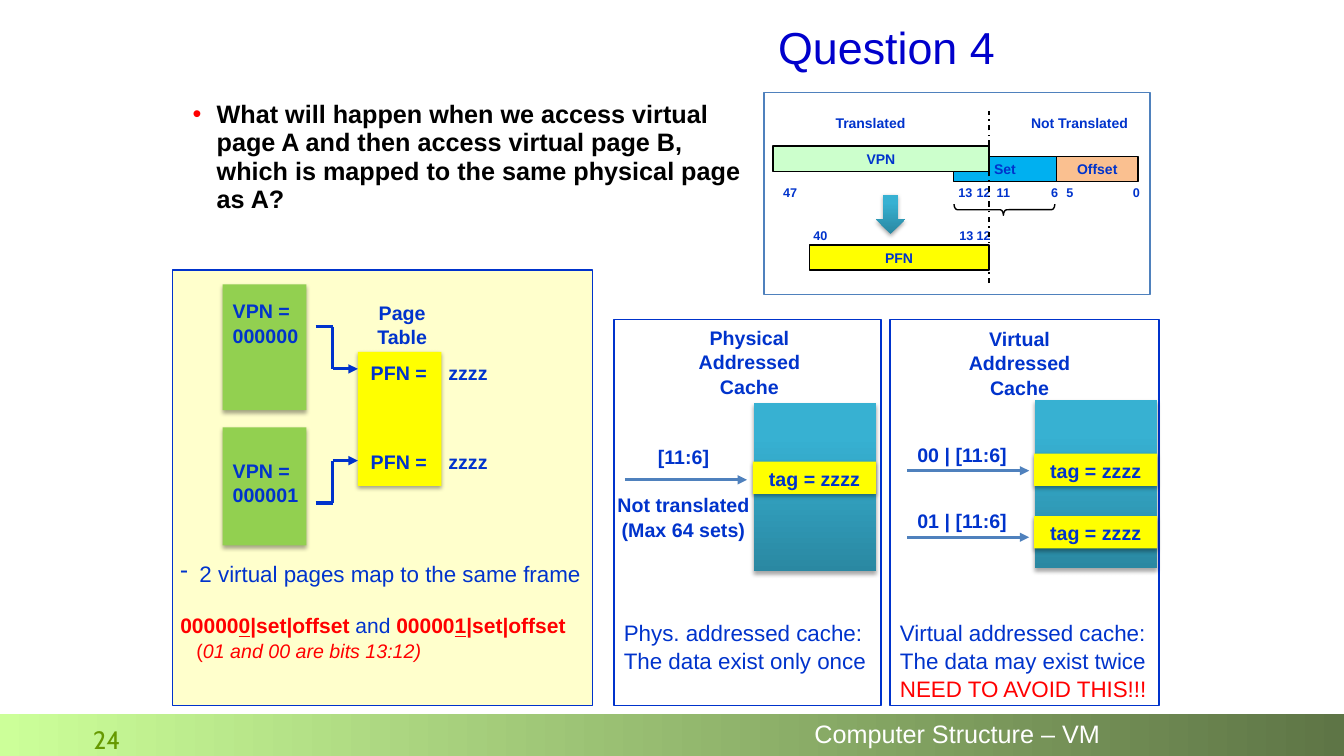
from dataclasses import dataclass

from lxml import etree
from pptx import Presentation, util as u
from pptx.dml.color import RGBColor
from pptx.enum import dml, shapes, text
from pptx.oxml.ns import qn

BLUE = RGBColor(0x00, 0x33, 0xCC)
NAVY = RGBColor(0x00, 0x00, 0xCC)
STEEL = RGBColor(0x4F, 0x81, 0xBD)
SKY = RGBColor(0x00, 0xB0, 0xF0)
TEAL = [RGBColor(0x2A, 0x88, 0xA2), RGBColor(0x37, 0xB1, 0xD2)]
RED = RGBColor(0xFF, 0x00, 0x00)
PEACH = RGBColor(0xFA, 0xC0, 0x90)
YELLOW = RGBColor(0xFF, 0xFF, 0x00)
CREAM = RGBColor(0xFF, 0xFF, 0xCC)
MINT = RGBColor(0xCC, 0xFF, 0xCC)
GREEN = RGBColor(0x92, 0xD0, 0x50)
LEAF = RGBColor(0x66, 0x99, 0x00)
MEADOW = [RGBColor(0xCC, 0xFF, 0x99), RGBColor(0x5E, 0x75, 0x46)]
BLACK = RGBColor(0x00, 0x00, 0x00)
WHITE = RGBColor(0xFF, 0xFF, 0xFF)

CELL = u.Inches(0.1)  # side of one grid cell
KIND = shapes.MSO_SHAPE
LEFT, MID = text.PP_ALIGN.LEFT, text.PP_ALIGN.CENTER
TOP, HALF = text.MSO_ANCHOR.TOP, text.MSO_ANCHOR.MIDDLE


def grid(*cells):
    """Turn grid columns and rows into lengths."""
    return [round(cell * CELL) for cell in cells]


def node(parent, tag, **attrs):
    """Append one XML element and return it."""
    return etree.SubElement(parent, qn(tag), {k: str(v) for k, v in attrs.items()})


def mark(para, sign, hang, color):
    """Give a paragraph a hanging bullet."""
    props = para._p.get_or_add_pPr()
    props.set("marL", str(round(hang * CELL)))
    props.set("indent", str(-round(hang * CELL)))
    node(node(props, "a:buClr"), "a:srgbClr", val=color)
    node(props, "a:buChar", char=sign)


def write(frame, lines, size=14, color=BLUE, bold=True, face="Arial", align=LEFT,
          anchor=TOP, wrap=True, pad=True, lead=1.05):
    """Fill a frame; a line is a string or a list of (string, font changes)."""
    frame.word_wrap, frame.vertical_anchor = wrap, anchor
    frame.auto_size = text.MSO_AUTO_SIZE.NONE
    if not pad:
        frame.margin_left = frame.margin_right = 0
        frame.margin_top = frame.margin_bottom = 0
    for i, line in enumerate(lines):
        para = frame.paragraphs[0] if i == 0 else frame.add_paragraph()
        para.alignment, para.line_spacing = align, lead
        para.space_before = u.Pt(0)
        for words, change in [(line, {})] if isinstance(line, str) else line:
            run = para.add_run()
            run.text = words
            font = run.font
            font.name, font.bold = face, change.get("bold", bold)
            font.size = u.Pt(change.get("size", size))
            font.color.rgb = change.get("color", color)
            font.italic = change.get("italic")
            font.underline = change.get("under")
    return frame.paragraphs


@dataclass
class Sheet:
    """The current slide and its drawing style."""
    slide: object
    thin: float = 1
    thick: float = 2.25

    def label(self, x, y, w, h, *lines, **fmt):
        """Add a text box and return its paragraphs."""
        box = self.slide.shapes.add_textbox(*grid(x, y, w, h))
        return write(box.text_frame, lines, **fmt)

    def holder(self, index, place, line, **fmt):
        """Move and fill a placeholder."""
        spot = self.slide.placeholders[index]
        spot.left, spot.top, spot.width, spot.height = grid(*place)
        return write(spot.text_frame, [line], **fmt)

    def block(self, x, y, w, h, fill=None, line=None, words=None, kind=KIND.RECTANGLE,
              shade=False, slant=90, stop=0.8, **fmt):
        """Add a preset shape; a list of two colours makes a gradient."""
        item = self.slide.shapes.add_shape(kind, *grid(x, y, w, h))
        if fill is None:
            item.fill.background()
        elif isinstance(fill, list):
            item.fill.gradient()
            item.fill.gradient_angle = slant
            for point, color, at in zip(item.fill.gradient_stops, fill, (0, stop)):
                point.color.rgb, point.position = color, at
        else:
            item.fill.solid()
            item.fill.fore_color.rgb = fill
        if line is None:
            item.line.fill.background()
        else:
            item.line.color.rgb, item.line.width = line, u.Pt(self.thin)
        item.shadow.inherit = False
        if shade:
            drop = node(item._element.spPr.find(qn("a:effectLst")), "a:outerShdw",
                        blurRad=u.Pt(3.1), dist=u.Pt(1.8), dir=5400000, rotWithShape=0)
            node(node(drop, "a:srgbClr", val=BLACK), "a:alpha", val=35000)
        if words:
            write(item.text_frame, [words], align=MID, anchor=HALF, **fmt)
        return item

    def link(self, x1, y1, x2, y2, color=BLUE, width=None, head=False, dash=None):
        """Add a straight line, with an arrowhead if asked."""
        wire = self.slide.shapes.add_connector(shapes.MSO_CONNECTOR.STRAIGHT,
                                               *grid(x1, y1, x2, y2))
        wire.line.color.rgb, wire.line.width = color, u.Pt(width or self.thick)
        if dash:
            wire.line.dash_style = dash
        if head:
            node(wire._element.spPr.find(qn("a:ln")), "a:tailEnd", type="triangle")
        node(wire._element.spPr, "a:effectLst")

    def tag(self, x, y):
        """Add a cache entry."""
        self.block(x, y, 12.2, 3.2, YELLOW, words="tag = zzzz", shade=True)


def frame(sheet):
    """Add the title, question and footer."""
    sheet.holder(0, (61.7, 2.5, 52.5, 5), "Question 4", size=32, color=NAVY,
                 bold=False, align=MID, anchor=HALF, pad=False, lead=0.9)
    ask = sheet.holder(1, (18.1, 9.5, 57.7, 19.7),
                       "What will happen when we access virtual page A and then access "
                       "virtual page B, which is mapped to the same physical page as A?",
                       size=18, color=BLACK, lead=0.94)
    mark(ask[0], "•", 2.4, RED)
    sheet.block(0, 70.8, 133.33, 4.2, MEADOW, slant=0, stop=1)
    sheet.label(80.8, 70.6, 30, 4.2, "Computer Structure – VM", size=18, color=WHITE,
                bold=False, anchor=HALF, pad=False)
    sheet.label(6.7, 71.7, 7.8, 3.7, "24", size=18, color=LEAF, bold=False,
                face="Cabin", align=MID, lead=0.9)


def address(sheet):
    """Draw the split of the address into fields."""
    sheet.block(75.8, 9.2, 38.3, 20, line=STEEL)
    for x, y, w, fill, name in ((104.8, 15.5, 8.1, PEACH, "Offset"),
                                (94.6, 15.5, 10.2, SKY, "Set"),
                                (76.7, 14.5, 21.4, MINT, "VPN"),
                                (80.3, 24.3, 17.8, YELLOW, "PFN")):
        sheet.block(x, y, w, 2.5, fill, BLACK, name, size=10)
    for x, w, name in ((81.9, 9.1, "Translated"), (101.3, 11.8, "Not Translated")):
        sheet.label(x, 10.8, w, 2.7, name, size=10, wrap=False)
    upper = ((76.7, "47"), (94.1, "13"), (95.9, "12"), (97.9, "11"),
             (103.3, "6"), (104.8, "5"), (111.4, "0"))
    lower = ((79.7, "40"), (94.2, "13"), (95.9, "12"))
    for y, bits in ((17.8, upper), (22, lower)):
        for x, bit in bits:
            sheet.label(x, y, 2 + 0.7 * len(bit), 2.5, bit, size=9, wrap=False)
    brace = sheet.block(99.1, 15.8, 1.1, 10, line=BLACK, kind=KIND.LEFT_BRACE)
    brace.rotation = 270
    brace.adjustments[0], brace.adjustments[1] = 0.29, 0.49
    sheet.link(98.1, 28.1, 98.1, 11, BLACK, sheet.thin, dash=dml.MSO_LINE.DASH_DOT)
    sheet.block(86.9, 19.3, 2.9, 3.9, TEAL, kind=KIND.DOWN_ARROW, shade=True)


def pages(sheet):
    """Draw two virtual pages that share a frame."""
    sheet.block(17.1, 26.8, 41.7, 43.2, CREAM, BLUE)
    for y, h, top, name in ((28.2, 12.5, 29.1, "000000"), (42.4, 11.7, 44.9, "000001")):
        sheet.block(22.1, y, 8.3, h, GREEN, shade=True)
        sheet.label(22.1, top, 8.5, 5.7, "VPN =", name, wrap=False)
    sheet.label(36.4, 29.2, 7, 5.7, "Page", "Table", align=MID, wrap=False)
    sheet.block(35.5, 34.9, 8.3, 13.3, YELLOW, shade=True)
    for start, end in ((32.4, 36.6), (49.9, 45.7)):
        sheet.link(31.3, start, 33, start)
        sheet.link(33, start, 33, end)
        sheet.link(33, end, 35.5, end, head=True)
    for y in (35.2, 44):
        sheet.label(35.8, y, 7.7, 3.4, "PFN =", wrap=False)
        sheet.label(43.5, y, 6, 3.4, "zzzz", wrap=False)
    red, line = {"color": RED, "bold": True}, {"color": RED, "bold": True, "under": True}
    both = [("00000", red), ("0", line), ("|set|offset", red), (" and ", {}),
            ("00000", red), ("1", line), ("|set|offset", red)]
    both = [(words, {**look, "size": 15}) for words, look in both]
    small = {"color": RED, "size": 14}
    note = [("(", small), ("01 and 00 are bits 13:12)", {**small, "italic": True})]
    rows = sheet.label(16.9, 54.9, 42.5, 11.3, "2 virtual pages map to the same frame",
                       both, note, size=16, bold=False)
    mark(rows[0], "-", 1.9, BLUE)
    rows[1].space_before = u.Pt(18)
    rows[2]._p.get_or_add_pPr().set("marL", str(round(1.6 * CELL)))


def caches(sheet):
    """Compare the physical and the virtual cache."""
    alert = [("NEED TO AVOID THIS!!!", {"color": RED})]
    for x, w, mid, top, name, store, notes in (
            (60.9, 26.5, 74.35, 31.7, "Physical", (74.8, 40),
             ["Phys. addressed cache:", "The data exist only once"]),
            (88.3, 26.7, 101.15, 31.8, "Virtual", (102.7, 39.7),
             ["Virtual addressed cache:", "The data may exist twice", alert])):
        sheet.block(x, 31.7, w, 38.3, line=BLUE)
        sheet.label(mid - 12, top, 24, 8.1, name, "Addressed", "Cache", align=MID)
        sheet.block(*store, 12.1, 16.7, TEAL, shade=True)
        sheet.label(x, 60.8, 28, 9.1, *notes, size=16, bold=False)
    sheet.link(62, 47.6, 74.1, 47.6, STEEL, head=True)
    rows = sheet.label(60.2, 43.5, 15.2, 10.4, "[11:6]", "Not translated",
                       "(Max 64 sets)", align=MID, wrap=False)
    rows[1].space_before = u.Pt(17)
    sheet.tag(74.7, 45.8)
    for y, bits, entry in ((46.7, "00", 45), (53.3, "01", 51.2)):
        sheet.link(90, y, 102.1, y, STEEL, head=True)
        sheet.label(90, y - 3.4, 10.9, 3.4, bits + " | [11:6]", align=MID, wrap=False)
        sheet.tag(102.6, entry)


deck = Presentation()
deck.slide_width, deck.slide_height = grid(133.33, 75)
page = Sheet(deck.slides.add_slide(deck.slide_layouts[1]))
for draw in (frame, address, pages, caches):
    draw(page)
deck.save("out.pptx")
